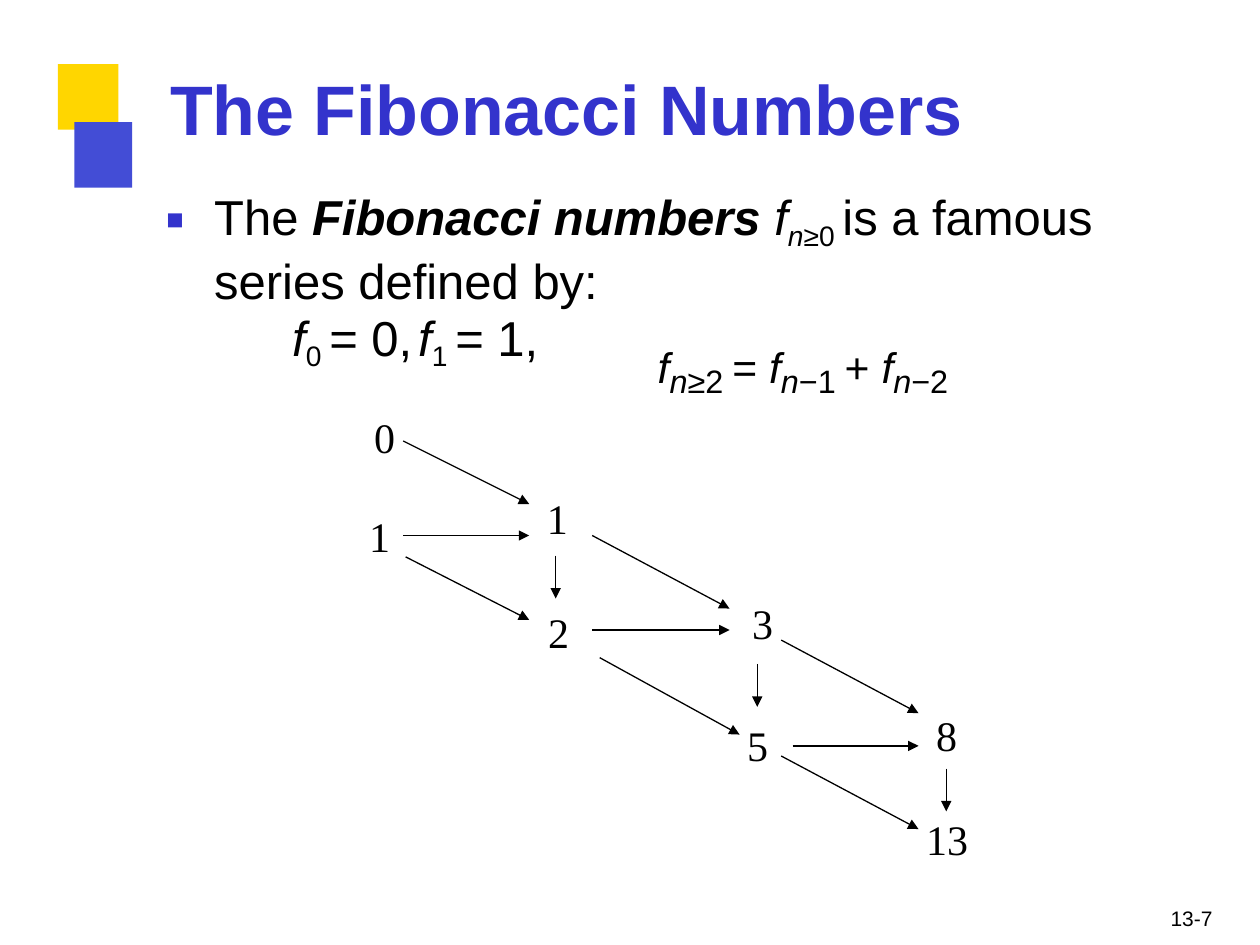
from dataclasses import dataclass

from lxml import etree
from pptx import Presentation
from pptx.dml.color import RGBColor
from pptx.enum.shapes import MSO_CONNECTOR, MSO_SHAPE
from pptx.enum.text import MSO_ANCHOR, MSO_AUTO_SIZE, PP_ALIGN
from pptx.oxml.ns import qn
from pptx.util import Inches, Pt

LINE = MSO_CONNECTOR.STRAIGHT
RECT = MSO_SHAPE.RECTANGLE
TOP = MSO_ANCHOR.TOP
FIXED = MSO_AUTO_SIZE.NONE
LEFT = PP_ALIGN.LEFT


@dataclass(frozen=True)
class Theme:
    """Colours, fonts and type sizes of the slide."""
    sans: str = "Arial"
    serif: str = "Times New Roman"
    ink: str = "000000"
    blue: str = "3333CC"
    gold: str = "FFD600"
    pale: str = "434DD6"
    title: float = 40
    body: float = 28
    sub: float = 27.8
    large: float = 42
    index: float = 18.5
    node: float = 24
    note: float = 12


THEME = Theme()
COLS, ROWS = 100, 75
STYLES = {
    "plain": {},
    "ital": {"italic": True},
    "strong": {"bold": True, "italic": True},
    "low": {"size": THEME.sub, "base": -21},
    "lowital": {"size": THEME.sub, "base": -21, "italic": True},
    "big": {"size": THEME.large, "base": 14},
    "bigital": {"size": THEME.large, "base": 14, "italic": True},
    "index": {},
    "indexital": {"italic": True},
}
INTRO = [("The ", "plain"), ("Fibonacci numbers ", "strong"), ("f", "ital"),
         ("n", "lowital"), ("≥0 ", "low"),
         ("is a famous series defined by:", "plain")]
START = [("f", "ital"), ("0 ", "low"), ("= 0,\t", "plain"),
         ("f", "ital"), ("1 ", "low"), ("= 1,", "plain")]
RULE = [("f", "bigital"), ("n", "indexital"), ("≥2 ", "index"), ("= ", "big"),
        ("f", "bigital"), ("n", "indexital"), ("−1 ", "index"), ("+ ", "big"),
        ("f", "bigital"), ("n", "indexital"), ("−2", "index")]
NODES = [("0", 29.6, 32.6), ("1", 29.2, 40.4), ("1", 43.3, 39),
         ("2", 43.4, 48), ("3", 59.6, 47.3), ("5", 59.2, 57),
         ("8", 74.2, 56.2), ("13", 73.4, 64.5)]
SLANTS = [(32, 35, 10, 5), (32.2, 44.2, 9.8, 5), (47, 42.5, 10.9, 5.8),
          (47.6, 52.2, 11.1, 6.1), (62, 50.8, 10.9, 5.8), (62, 60, 10.9, 5.8)]
ACROSS = [(32, 42.5, 10), (47, 50, 10.9), (62.9, 59.2, 10)]
DOWN = [(44.1, 44.1), (60.1, 52.7), (75.1, 61)]
DROP = 3.4


def grid(*cells):
    """Turn grid cells into lengths."""
    return [Inches(cell / 10) for cell in cells]


def place(shape, area):
    """Move a shape to an area of the grid."""
    shape.left, shape.top, shape.width, shape.height = grid(*area)


def indent(para, left, first=0):
    """Set the left margin and first line indent in cells."""
    props = para._p.get_or_add_pPr()
    props.set("marL", str(grid(left)[0]))
    props.set("indent", str(grid(first)[0]))
    return props


def bullet(para):
    """Give a paragraph a square bullet and a hanging indent."""
    props = indent(para, 4.2, -3.8)
    color = etree.SubElement(props, qn("a:buClr"))
    etree.SubElement(color, qn("a:srgbClr"), val=THEME.blue)
    etree.SubElement(props, qn("a:buSzPct"), val="59000")
    etree.SubElement(props, qn("a:buFont"), typeface=THEME.sans)
    etree.SubElement(props, qn("a:buChar"), char="■")


def tab(para, stop):
    """Add a left tab stop to a paragraph."""
    stops = etree.SubElement(para._p.get_or_add_pPr(), qn("a:tabLst"))
    etree.SubElement(stops, qn("a:tab"), pos=str(grid(stop)[0]), algn="l")


def frame(shape, inset=0.1):
    """Prepare a text frame and return its paragraph."""
    text = shape.text_frame
    text.word_wrap = True
    text.auto_size = FIXED
    text.vertical_anchor = TOP
    text.margin_left = text.margin_right = text.margin_bottom = 0
    text.margin_top = grid(inset)[0]
    para = text.paragraphs[0]
    para.alignment = LEFT
    para.space_before = Pt(1)
    return para


def label(slide, area, left=0.1, inset=0.1):
    """Add a text box and return its paragraph."""
    para = frame(slide.shapes.add_textbox(*grid(*area)), inset)
    indent(para, left)
    return para


def style(para, size, name=THEME.sans, color=THEME.ink, bold=False):
    """Set the font of a whole paragraph."""
    font = para.font
    font.name, font.size, font.bold = name, Pt(size), bold
    font.color.rgb = RGBColor.from_string(color)


def write(para, parts):
    """Add styled runs to a paragraph."""
    for text, key in parts:
        look = STYLES[key]
        run = para.add_run()
        run.text = text
        for name in ("bold", "italic"):
            if name in look:
                setattr(run.font, name, True)
        if "size" in look:
            run.font.size = Pt(look["size"])
        if "base" in look:
            props = run._r.get_or_add_rPr()
            props.set("baseline", str(look["base"] * 1000))


def block(slide, area, color):
    """Add a plain filled rectangle."""
    shape = slide.shapes.add_shape(RECT, *grid(*area))
    shape.shadow.inherit = False
    shape.fill.solid()
    shape.fill.fore_color.rgb = RGBColor.from_string(color)
    shape.line.fill.background()


def arrow(slide, left, top, wide, high):
    """Add a thin arrow from a point by a step."""
    ends = grid(left, top, left + wide, top + high)
    link = slide.shapes.add_connector(LINE, *ends)
    link.line.width = Pt(0.75)
    link.line.color.rgb = RGBColor.from_string(THEME.ink)
    etree.SubElement(link.line._get_or_add_ln(), qn("a:tailEnd"), type="triangle")
    etree.SubElement(link._element.spPr, qn("a:effectLst"))


def heads(slide):
    """Fill the title and body placeholders."""
    title, body = slide.placeholders
    place(title, (13.4, 5.1, 66, 6.9))
    para = frame(title)
    indent(para, 0.1)
    para.text = "The Fibonacci Numbers"
    style(para, THEME.title, color=THEME.blue, bold=True)
    place(body, (12.8, 15, 75.5, 9.5))
    para = frame(body, 0.4)
    para.line_spacing, para.space_before = Pt(33), Pt(2.6)
    bullet(para)
    style(para, THEME.body)
    write(para, INTRO)


def terms(slide):
    """Add the first terms and the recurrence."""
    para = label(slide, (22.6, 24.3, 27, 4.9), 0.6)
    tab(para, 15.1)
    style(para, THEME.body)
    write(para, START)
    para = label(slide, (51.8, 25.3, 28, 4.9), 0.4)
    style(para, THEME.index)
    write(para, RULE)


def chain(slide):
    """Add the numbers and the arrows that join them."""
    for text, left, top in NODES:
        para = label(slide, (left, top, 2 * len(text), 4.3))
        para.text = text
        style(para, THEME.node, THEME.serif)
    steps = SLANTS + [(*step, 0) for step in ACROSS]
    steps += [(*spot, 0, DROP) for spot in DOWN]
    for step in steps:
        arrow(slide, *step)


def main():
    """Build and save the slide."""
    deck = Presentation()
    deck.slide_width, deck.slide_height = grid(COLS, ROWS)
    slide = deck.slides.add_slide(deck.slide_layouts[1])
    block(slide, (4.6, 5.1, 4.8, 5.2), THEME.gold)
    block(slide, (5.9, 9.7, 4.6, 5.2), THEME.pale)
    heads(slide)
    terms(slide)
    chain(slide)
    page = label(slide, (92.8, 71.9, 4.8, 2.1), inset=0)
    page.text = "13-7"
    page.line_spacing, page.space_before = Pt(14.2), Pt(0)
    style(page, THEME.note)
    deck.save("out.pptx")


main()
